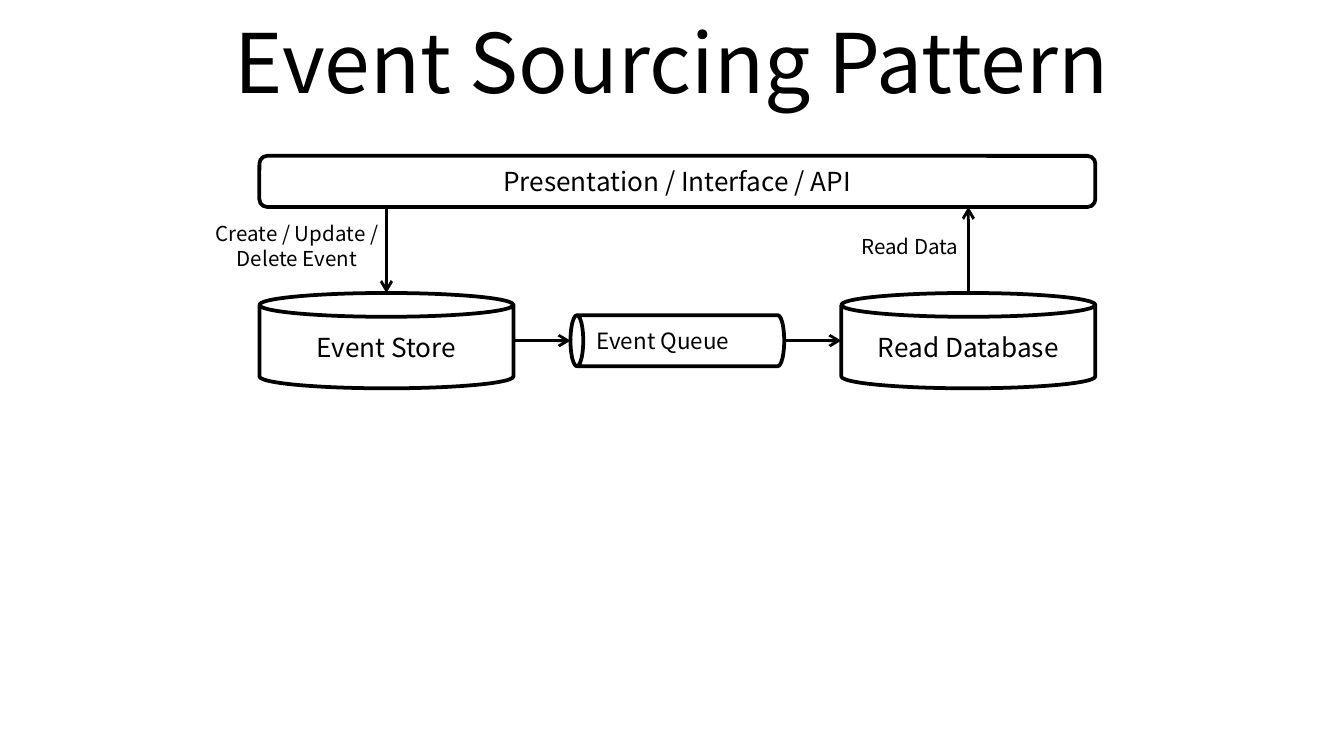
from lxml import etree
from pptx import Presentation
from pptx.dml.color import RGBColor
from pptx.enum.shapes import MSO_CONNECTOR as Connector, MSO_SHAPE as Shape
from pptx.enum.text import MSO_ANCHOR as Anchor, MSO_AUTO_SIZE as AutoSize, PP_ALIGN as Align
from pptx.oxml.ns import qn
from pptx.util import Inches, Pt

FONT = "Noto Sans CJK KR"
COLORS = {"ink": "000000", "paper": "FFFFFF"}

TITLE = "Event Sourcing Pattern"
INTERFACE = "Presentation / Interface / API"
STORES = ["Event Store", "Read Database"]
QUEUE = "Event Queue"
LABELS = [("Create / Update / Delete Event", 1.46), ("Read Data", 6.02)]

SLIDE_WIDTH = 10
SLIDE_HEIGHT = SLIDE_WIDTH * 9 / 16
LEFT, WIDTH = 1.93, 6.22
BAR_TOP, BAR_HEIGHT = 1.16, 0.38
STORE_TOP, STORE_WIDTH, STORE_HEIGHT = 2.18, 1.89, 0.71
QUEUE_LENGTH, QUEUE_THICKNESS = 1.59, 0.38
LABEL_TOP, LABEL_WIDTH, LABEL_HEIGHT = 1.64, 1.5, 0.38
CORNER = 0.152


def color(name):
    return RGBColor.from_string(COLORS[name])


def write(shape, text, size=14):
    frame = shape.text_frame
    frame.word_wrap = True
    frame.auto_size = AutoSize.NONE
    frame.vertical_anchor = Anchor.MIDDLE
    paragraph = frame.paragraphs[0]
    paragraph.text = text
    paragraph.alignment = Align.CENTER
    paragraph.font.name = FONT
    paragraph.font.size = Pt(size)
    paragraph.font.color.rgb = color("ink")


def add_box(slide, kind, box, text, size=14, outlined=True):
    shape = slide.shapes.add_shape(kind, *map(Inches, box))
    shape.shadow.inherit = False
    if kind == Shape.ROUNDED_RECTANGLE:
        shape.adjustments[0] = CORNER
    if outlined:
        shape.fill.solid()
        shape.fill.fore_color.rgb = color("paper")
        shape.line.color.rgb = color("ink")
        shape.line.width = Pt(2)
    else:
        shape.fill.background()
        shape.line.fill.background()
    write(shape, text, size)
    return shape


def add_arrow(slide, start, end):
    arrow = slide.shapes.add_connector(Connector.STRAIGHT, *map(Inches, start + end))
    arrow.line.color.rgb = color("ink")
    arrow.line.width = Pt(1.5)
    etree.SubElement(arrow.line._get_or_add_ln(), qn("a:tailEnd"), type="arrow")
    etree.SubElement(arrow._element.spPr, qn("a:effectLst"))


def main():
    presentation = Presentation()
    presentation.slide_width = Inches(SLIDE_WIDTH)
    presentation.slide_height = Inches(SLIDE_HEIGHT)
    slide = presentation.slides.add_slide(presentation.slide_layouts[5])

    title = slide.shapes.title
    title.left, title.top = Inches(0.5), Inches(-0.02)
    title.width, title.height = Inches(9), Inches(0.94)
    write(title, TITLE, size=44)

    add_box(slide, Shape.ROUNDED_RECTANGLE, (LEFT, BAR_TOP, WIDTH, BAR_HEIGHT), INTERFACE)

    store_lefts = [LEFT, LEFT + WIDTH - STORE_WIDTH]
    for text, left in zip(STORES, store_lefts):
        add_box(slide, Shape.CAN, (left, STORE_TOP, STORE_WIDTH, STORE_HEIGHT), text)

    middle_x = LEFT + WIDTH / 2
    middle_y = STORE_TOP + STORE_HEIGHT / 2
    bar_bottom = BAR_TOP + BAR_HEIGHT
    write_x, read_x = [left + STORE_WIDTH / 2 for left in store_lefts]
    add_arrow(slide, (write_x, bar_bottom), (write_x, STORE_TOP))
    add_arrow(slide, (read_x, STORE_TOP), (read_x, bar_bottom))
    add_arrow(slide, (LEFT + STORE_WIDTH, middle_y), (middle_x - QUEUE_LENGTH / 2, middle_y))
    add_arrow(slide, (middle_x + QUEUE_LENGTH / 2, middle_y), (store_lefts[1], middle_y))

    # The queue is an upright can laid on its side, with its text turned back to level.
    queue_box = (middle_x - QUEUE_THICKNESS / 2, middle_y - QUEUE_LENGTH / 2,
                 QUEUE_THICKNESS, QUEUE_LENGTH)
    queue = add_box(slide, Shape.CAN, queue_box, QUEUE, size=12)
    queue.rotation = 270
    queue.text_frame._txBody.bodyPr.set("vert", "eaVert")

    for text, left in LABELS:
        add_box(slide, Shape.ROUNDED_RECTANGLE, (left, LABEL_TOP, LABEL_WIDTH, LABEL_HEIGHT),
                text, size=11, outlined=False)

    presentation.save("out.pptx")


if __name__ == "__main__":
    main()
